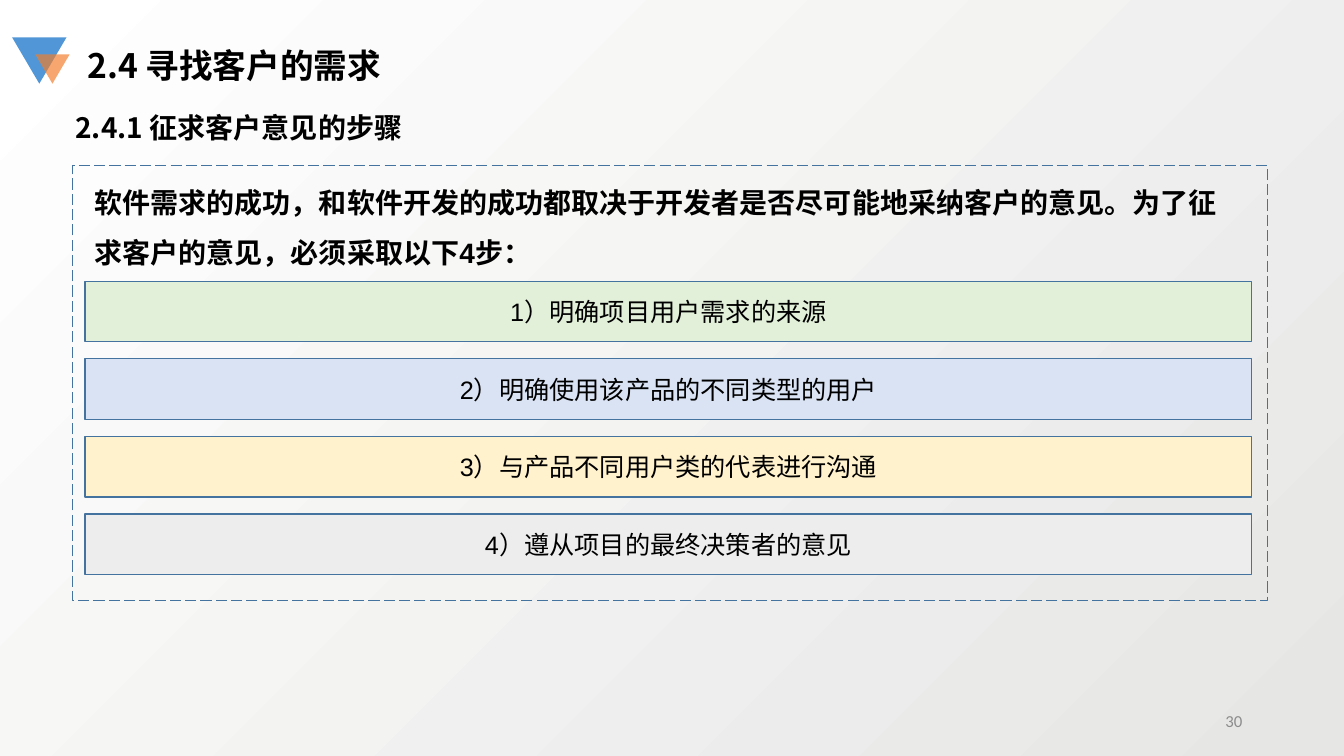
from lxml import etree
from pptx import Presentation
from pptx import util as u
from pptx.dml.color import RGBColor
from pptx.enum import dml, shapes, text
from pptx.oxml.ns import qn

COLORS = {
    "ink": "000000", "muted": "8C8C8C", "outline": "43739E",
    "green": "E2F0D9", "blue": "DAE3F3", "yellow": "FFF2CC", "grey": "EDEDED",
    "mark_blue": "5197D7", "mark_orange": "F37D2A",
    "bg_start": "E6E6E5", "bg_end": "FFFFFF",
}
RGB = {name: RGBColor.from_string(value) for name, value in COLORS.items()}
CJK = "Noto Sans CJK SC"
CELL = u.Inches(0.1)

prs = Presentation()
prs.slide_width, prs.slide_height = u.Inches(13.33), u.Inches(7.5)
s = prs.slides.add_slide(prs.slide_layouts[6])


def add_box(parent, kind, cells, fill=None, line=None):
    """Add a shape placed by (column, row, columns, rows) of the 0.1 inch grid."""
    sp = parent.add_shape(kind, *(round(n * CELL) for n in cells))
    sp.shadow.inherit = False
    for part, color in ((sp.fill, fill), (sp.line.fill, line)):
        if color:
            part.solid()
            part.fore_color.rgb = RGB[color]
        else:
            part.background()
    if line:
        sp.line.width = u.Pt(1)
    return sp


def write(sp, words, align, anchor, color="ink", spacing=None, **font):
    tf = sp.text_frame
    tf.word_wrap = True
    tf.vertical_anchor = anchor
    p = tf.paragraphs[0]
    p.alignment, p.line_spacing = align, spacing
    r = p.add_run()
    r.text = words
    r.font.color.rgb = RGB[color]
    for key, value in font.items():
        setattr(r.font, key, value)
    etree.SubElement(r.font._element, qn("a:ea"), typeface=CJK)


# Background
bg = s.background.fill
bg.gradient()
bg.gradient_angle = 135
for stop, color in zip(bg.gradient_stops, ("bg_start", "bg_end")):
    stop.color.rgb = RGB[color]

# Four steps
RECT = shapes.MSO_SHAPE.RECTANGLE
steps = [
    ("1）明确项目用户需求的来源", "green"),
    ("2）明确使用该产品的不同类型的用户", "blue"),
    ("3）与产品不同用户类的代表进行沟通", "yellow"),
    ("4）遵从项目的最终决策者的意见", "grey"),
]
for i, (words, color) in enumerate(steps):
    sp = add_box(s.shapes, RECT, (8.45, 27.9 + 7.7 * i, 115.7, 6), color, "outline")
    write(sp, words, text.PP_ALIGN.CENTER, text.MSO_ANCHOR.MIDDLE,
          size=u.Pt(18), name="Arial")

# Dashed frame
frame = add_box(s.shapes, RECT, (7.2, 16.4, 118.5, 43.2), line="outline")
frame.line.dash_style = dml.MSO_LINE.LONG_DASH

# Corner mark
mark = s.shapes.add_group_shape()
for cells, color in (((1.2, 3.7, 5.4, 4.6), "mark_blue"),
                     ((3.5, 5.4, 3.4, 2.9), "mark_orange")):
    sp = add_box(mark.shapes, shapes.MSO_SHAPE.ISOSCELES_TRIANGLE, cells, color)
    sp.rotation = 180
tint = sp.fill._xPr.find(qn("a:solidFill"))[0]
etree.SubElement(tint, qn("a:alpha"), val="68000")

# Headings, introduction and page number
LEFT, RIGHT = text.PP_ALIGN.LEFT, text.PP_ALIGN.RIGHT
TOP, MIDDLE = text.MSO_ANCHOR.TOP, text.MSO_ANCHOR.MIDDLE
texts = [
    ((8.4, 16.2, 115.7, 10.3),
     "软件需求的成功，和软件开发的成功都取决于开发者是否尽可能地采纳客户的意见。"
     "为了征求客户的意见，必须采取以下4步：", LEFT, TOP,
     dict(size=u.Pt(20), name="Arial", bold=True, spacing=1.5)),
    ((94.2, 69.5, 30, 4), "30", RIGHT, MIDDLE,
     dict(size=u.Pt(12), name="Calibri", color="muted")),
    ((7.7, 4, 57.8, 5), "2.4 寻找客户的需求", LEFT, TOP,
     dict(size=u.Pt(24), name=CJK, bold=True)),
    ((6.5, 10.5, 91.9, 4.4), "2.4.1 征求客户意见的步骤", LEFT, TOP,
     dict(size=u.Pt(20), name=CJK, bold=True)),
]
for cells, words, align, anchor, style in texts:
    sp = s.shapes.add_textbox(*(round(n * CELL) for n in cells))
    write(sp, words, align, anchor, **style)

prs.save("out.pptx")
